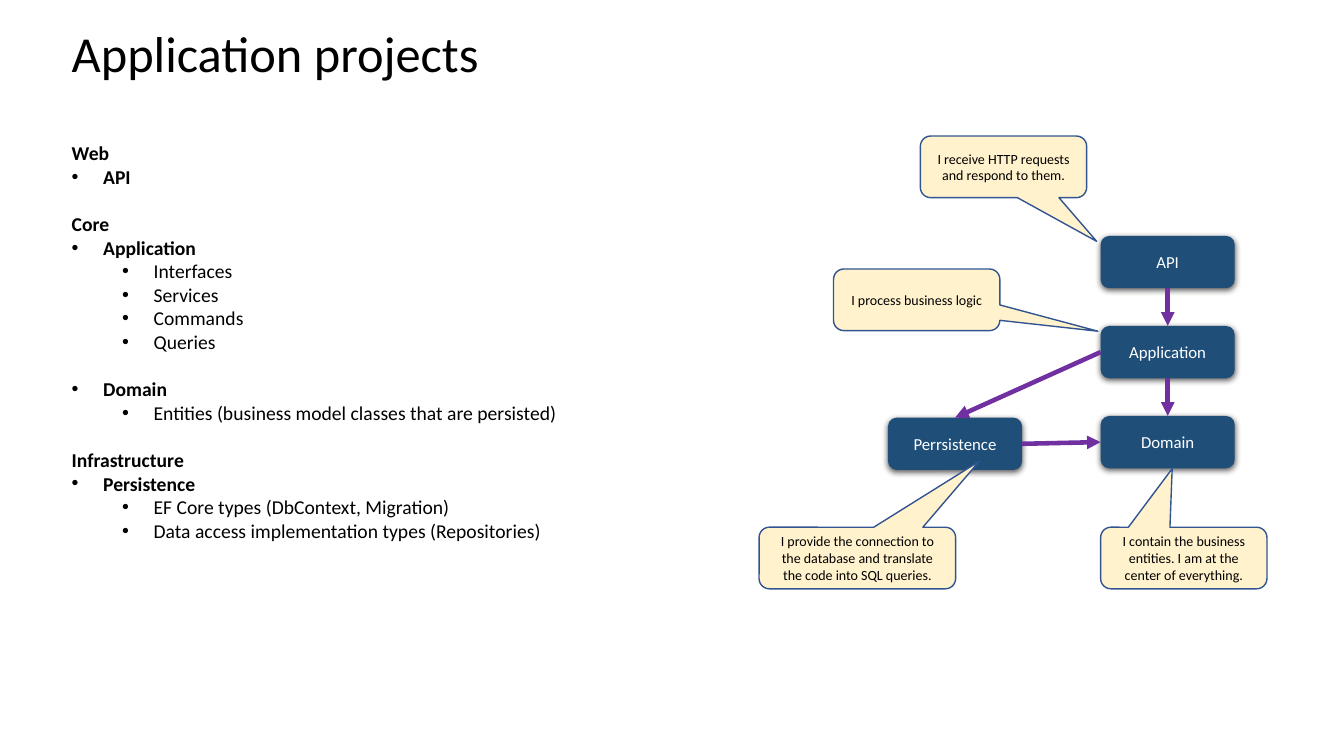
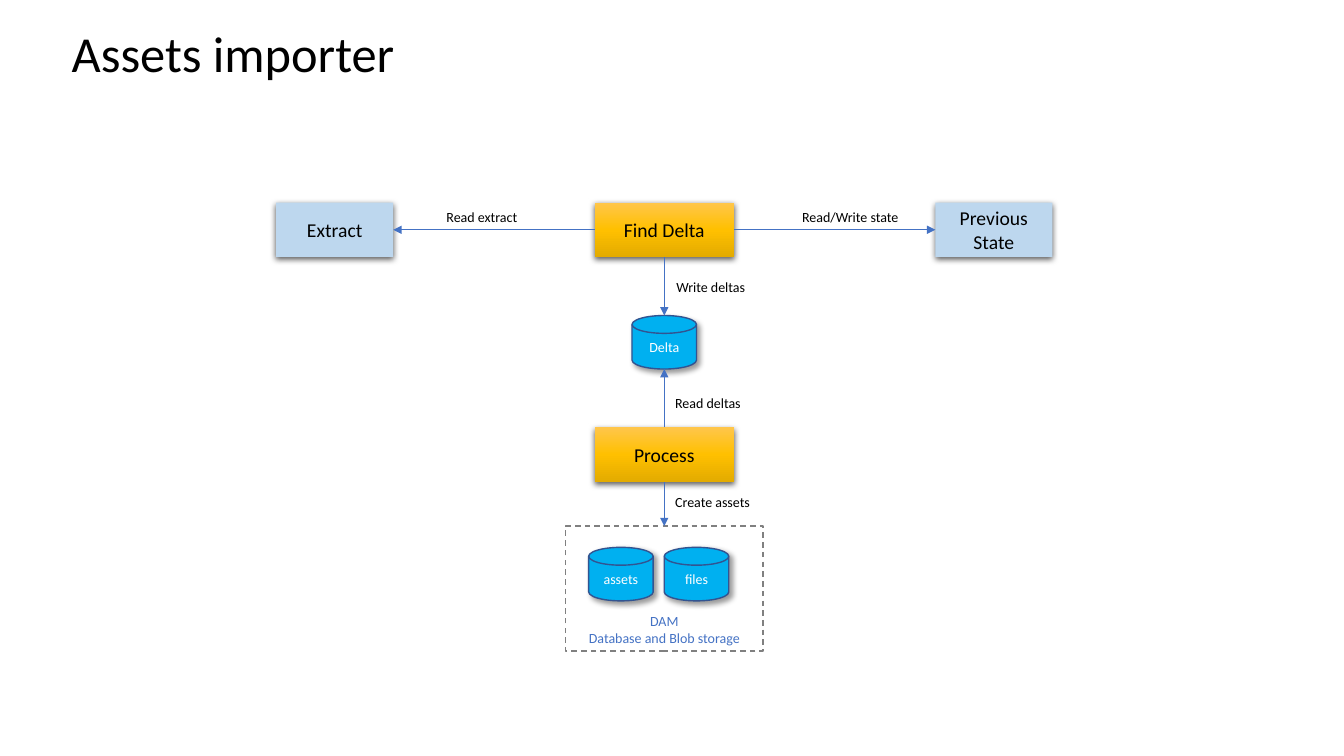
from copy import deepcopy
from dataclasses import dataclass
from typing import Any, NamedTuple

from lxml.etree import SubElement
from pptx import Presentation
from pptx.dml.color import RGBColor
from pptx.enum.dml import MSO_LINE
from pptx.enum.shapes import MSO_CONNECTOR, MSO_SHAPE
from pptx.enum.text import MSO_ANCHOR, MSO_AUTO_SIZE, PP_ALIGN
from pptx.oxml.ns import qn
from pptx.util import Pt

HUES = {
    "black": "000000", "white": "FFFFFF", "navy": "1F4E79", "purple": "7030A0",
    "cream": "FFF2CC", "edge": "325491", "gray": "808080", "blue": "4472C4",
    "pale": "BDD7EE", "cyan": "00B0F0",
    "light": "FFC64B", "gold": "FFC000", "dark": "E3AB00",
}
FONT = "Calibri"


class Area(NamedTuple):
    """Left, top, width and height in points."""
    x: float
    y: float
    w: float
    h: float


class Shade(NamedTuple):
    """Shadow strength in percent, blur and reach in points, angle in degrees."""
    alpha: int
    blur: float
    dist: float
    angle: int


@dataclass(frozen=True)
class Look:
    """Format shared by shapes of one kind; three fills make a gradient."""
    kind: Any
    fill: tuple[str, ...]
    ink: str
    size: float
    edge: str = ""
    dash: Any = None
    shade: Shade | None = None
    anchor: Any = MSO_ANCHOR.MIDDLE


class Row(NamedTuple):
    """Line of the project list: depth 0 is a heading, gap is space above."""
    text: str
    depth: int
    gap: float = 0


class Note(NamedTuple):
    """Callout with its area and the aim of its pointer."""
    text: str
    area: Area
    aim: tuple[float, float]


class Tag(NamedTuple):
    """Free label beside an arrow."""
    text: str
    area: Area


DROP = Shade(63, 4.5, 1.5, 90)
LAYER = Look(MSO_SHAPE.ROUNDED_RECTANGLE, ("navy",), "white", 12, shade=DROP)
BUBBLE = Look(MSO_SHAPE.ROUNDED_RECTANGULAR_CALLOUT, ("cream",), "black", 10, "edge")
STORE = Look(MSO_SHAPE.RECTANGLE, ("pale",), "black", 14, shade=DROP)
STEP = Look(MSO_SHAPE.RECTANGLE, ("light", "gold", "dark"), "black", 14, shade=DROP)
DISK = Look(MSO_SHAPE.FLOWCHART_MAGNETIC_DISK, ("cyan",), "white", 10, "edge",
            shade=Shade(40, 4, 3, 45), anchor=MSO_ANCHOR.TOP)
FRAME = Look(MSO_SHAPE.RECTANGLE, ("white",), "blue", 10, "gray", MSO_LINE.DASH,
             anchor=MSO_ANCHOR.BOTTOM)

TITLE = Area(44, -0.7, 872, 82)
LIST = Area(44, 97.2, 435.6, 296)
BLANK = 17
INDENT = (0, 22.5, 58.5)
HANG = -22.5

ROWS = (
    Row("Web", 0), Row("API", 1),
    Row("Core", 0, BLANK), Row("Application", 1),
    Row("Interfaces", 2), Row("Services", 2), Row("Commands", 2), Row("Queries", 2),
    Row("Domain", 1, BLANK),
    Row("Entities (business model classes that are persisted)", 2),
    Row("Infrastructure", 0, BLANK), Row("Persistence", 1),
    Row("EF Core types (DbContext, Migration)", 2),
    Row("Data access implementation types (Repositories)", 2),
)
NOTES = (
    Note("I receive HTTP requests and respond to them.",
         Area(657.4, 97.2, 118.8, 44), (0.56, 1.21)),
    Note("I process business logic", Area(595.4, 192.2, 118.8, 44), (1.09, 0.51)),
    Note("I contain the business entities. I am at the center of everything.",
         Area(786.2, 376.6, 118.8, 44), (-0.07, -1.45)),
    Note("I provide the connection to the database and translate the code into "
         "SQL queries.", Area(542.2, 376.6, 140.4, 44), (0.62, -1.57)),
)
TAGS = (
    Tag("Read extract", Area(311.8, 145.4, 66.2, 19.4)),
    Tag("Read/Write state", Area(565.9, 145.4, 85, 19.4)),
    Tag("Write deltas", Area(476, 195.1, 64.8, 19.4)),
    Tag("Read deltas", Area(475.2, 277.9, 61.9, 19.4)),
    Tag("Create assets", Area(475.2, 348.8, 69.1, 19.4)),
)


def rgb(name: str) -> RGBColor:
    """Look up a named colour."""
    return RGBColor.from_string(HUES[name])


def put(item: Any, form: dict[str, Any]) -> None:
    """Set every attribute of a format dict on an item."""
    for name, value in form.items():
        setattr(item, name, value)


def move(item: Any, area: Area) -> None:
    """Place a shape on an area."""
    put(item, dict(zip(("left", "top", "width", "height"), map(Pt, area))))


def ink(font: Any, size: float, hue: str = "black", bold: bool = False) -> None:
    """Format a font."""
    put(font, {"name": FONT, "size": Pt(size), "bold": bold})
    font.color.rgb = rgb(hue)


def write(frame: Any, text: str, size: float, hue: str = "black",
          form: dict[str, Any] | None = None) -> None:
    """Fill a text frame, one paragraph a line."""
    frame.text = text
    for para in frame.paragraphs:
        put(para, form or {})
        for run in para.runs:
            ink(run.font, size, hue)


def paint(shape: Any, hues: tuple[str, ...]) -> None:
    """Fill a shape with one colour or a gradient running down."""
    fill = shape.fill
    if len(hues) == 1:
        fill.solid()
        fill.fore_color.rgb = rgb(hues[0])
        return
    fill.gradient()
    fill.gradient_angle = 270
    stops = shape.element.spPr.find(".//" + qn("a:gsLst"))
    while len(stops) < len(hues):
        stops.append(deepcopy(stops[0]))
    for i, (stop, hue) in enumerate(zip(fill.gradient_stops, hues)):
        stop.position = i / (len(hues) - 1)
        stop.color.rgb = rgb(hue)


def cast(shape: Any, shade: Shade) -> None:
    """Give a shape an outer shadow."""
    node = SubElement(
        shape.element.spPr.find(qn("a:effectLst")), qn("a:outerShdw"),
        blurRad=str(int(Pt(shade.blur))), dist=str(int(Pt(shade.dist))),
        dir=str(shade.angle * 60000), algn="ctr", rotWithShape="0")
    tone = SubElement(node, qn("a:srgbClr"), val=HUES["black"])
    SubElement(tone, qn("a:alpha"), val=str(shade.alpha * 1000))


def draw(slide: Any, look: Look, text: str, area: Area) -> Any:
    """Draw a shape with centred text."""
    shape = slide.shapes.add_shape(look.kind, *map(Pt, area))
    paint(shape, look.fill)
    if look.edge:
        shape.line.color.rgb = rgb(look.edge)
        put(shape.line, {"width": Pt(1), "dash_style": look.dash})
    else:
        shape.line.fill.background()
    shape.shadow.inherit = False
    if look.shade:
        cast(shape, look.shade)
    put(shape.text_frame, {"word_wrap": True, "vertical_anchor": look.anchor})
    write(shape.text_frame, text, look.size, look.ink, {"alignment": PP_ALIGN.CENTER})
    return shape


def side(shape: Any, edge: str) -> tuple[int, int]:
    """Find the middle of the left, right, top or bottom edge."""
    mid_x, mid_y = shape.left + shape.width // 2, shape.top + shape.height // 2
    return {"left": (shape.left, mid_y), "right": (shape.left + shape.width, mid_y),
            "top": (mid_x, shape.top),
            "bottom": (mid_x, shape.top + shape.height)}[edge]


def link(slide: Any, start: tuple[Any, str], end: tuple[Any, str],
         hue: str, width: float) -> None:
    """Draw an arrow from one shape edge to another."""
    arrow = slide.shapes.add_connector(MSO_CONNECTOR.STRAIGHT, *side(*start), *side(*end))
    arrow.line.color.rgb = rgb(hue)
    arrow.line.width = Pt(width)
    props = arrow.element.spPr
    SubElement(props.find(qn("a:ln")), qn("a:tailEnd"), type="triangle")
    SubElement(props, qn("a:effectLst"))


def label(slide: Any, tag: Tag) -> None:
    """Draw a free label."""
    box = slide.shapes.add_textbox(*map(Pt, tag.area))
    write(box.text_frame, tag.text, 10)
    put(box.text_frame, {"word_wrap": False,
                         "auto_size": MSO_AUTO_SIZE.SHAPE_TO_FIT_TEXT})


def start(deck: Any, layout: int, text: str) -> Any:
    """Add a slide with its title."""
    slide = deck.slides.add_slide(deck.slide_layouts[layout])
    title = slide.shapes.title
    move(title, TITLE)
    put(title.text_frame, {"vertical_anchor": MSO_ANCHOR.MIDDLE, "word_wrap": True,
                           "auto_size": MSO_AUTO_SIZE.NONE})
    write(title.text_frame, text, 36, form={"alignment": PP_ALIGN.LEFT,
                                            "line_spacing": 0.9})
    return slide


def fill_list(body: Any, rows: tuple[Row, ...]) -> None:
    """Write the nested list into the body placeholder."""
    move(body, LIST)
    frame = body.text_frame
    put(frame, {"auto_size": MSO_AUTO_SIZE.NONE, "vertical_anchor": MSO_ANCHOR.TOP})
    frame.text = "\n".join(row.text for row in rows)
    for para, row in zip(frame.paragraphs, rows):
        put(para, {"level": max(row.depth - 1, 0), "space_before": Pt(row.gap),
                   "space_after": Pt(0), "line_spacing": 1.0})
        ink(para.runs[0].font, 14, bold=row.depth < 2)
        props = para._p.get_or_add_pPr()
        props.set("marL", str(int(Pt(INDENT[row.depth]))))
        props.set("indent", str(int(Pt(HANG if row.depth else 0))))
        if row.depth:
            SubElement(props, qn("a:buFont"), typeface="Arial")
            SubElement(props, qn("a:buChar"), char="•")
        else:
            SubElement(props, qn("a:buNone"))


def projects(deck: Any) -> None:
    """Build the slide on project layers."""
    slide = start(deck, 1, "Application projects")
    fill_list(slide.placeholders[1], ROWS)
    api, app, domain = (
        draw(slide, LAYER, name, Area(786.2, 168.5 + 64.3 * i, 95.8, 37.4))
        for i, name in enumerate(("API", "Application", "Domain")))
    data = draw(slide, LAYER, "Perrsistence", Area(634.3, 298.3, 95.8, 37.4))
    for tail, head in (((api, "bottom"), (app, "top")),
                       ((app, "bottom"), (domain, "top")),
                       ((data, "right"), (domain, "left")),
                       ((app, "left"), (data, "top"))):
        link(slide, tail, head, "purple", 3.25)
    for note in NOTES:
        shape = draw(slide, BUBBLE, note.text, note.area)
        for i, value in enumerate(note.aim):
            shape.adjustments[i] = value


def assets(deck: Any) -> None:
    """Build the slide on the import flow."""
    slide = start(deck, 5, "Assets importer")
    axis, reach, top = 474.5, 235.4, 144.7
    frame = draw(slide, FRAME, "DAM\nDatabase and Blob storage",
                 Area(axis - 70.6, 375.8, 141.2, 89.3))
    source, state = (
        draw(slide, STORE, name, Area(axis + shift - 41.8, top, 83.6, 38.9))
        for name, shift in (("Extract", -reach), ("Previous\nState", reach)))
    find, process = (
        draw(slide, STEP, name, Area(axis - 49.7, y, 99.4, 38.9))
        for name, y in (("Find Delta", top), ("Process", 305.3)))
    delta, *_ = [
        draw(slide, DISK, name, Area(x, y, 46.1, 38.2))
        for name, x, y in (("Delta", axis - 23.05, 225.4),
                           ("assets", axis - 54, 391), ("files", axis, 391))]
    for tail, head in (((find, "left"), (source, "right")),
                       ((find, "right"), (state, "left")),
                       ((find, "bottom"), (delta, "top")),
                       ((process, "top"), (delta, "bottom")),
                       ((process, "bottom"), (frame, "top"))):
        link(slide, tail, head, "blue", 0.5)
    for tag in TAGS:
        label(slide, tag)


deck = Presentation()
put(deck, {"slide_width": Pt(960), "slide_height": Pt(540)})
projects(deck)
assets(deck)
deck.save("out.pptx")
